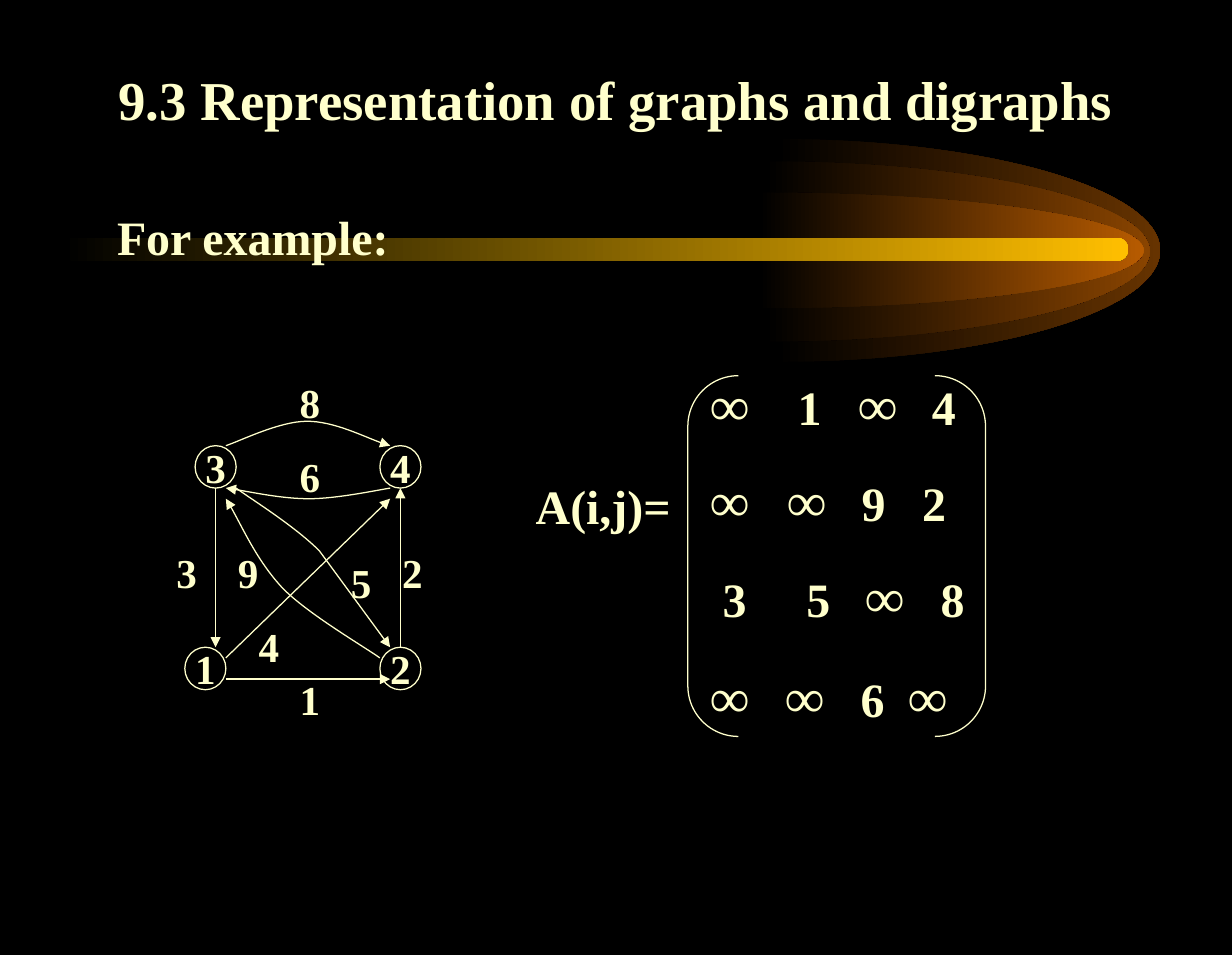
import itertools
import lxml.etree
import pptx
import pptx.dml.color
import pptx.enum.shapes
import pptx.enum.text
import pptx.oxml.ns
import pptx.util

Rgb = pptx.dml.color.RGBColor
Shape = pptx.enum.shapes.MSO_SHAPE
Line = pptx.enum.shapes.MSO_CONNECTOR
Align = pptx.enum.text.PP_ALIGN
Anchor = pptx.enum.text.MSO_ANCHOR
qn = pptx.oxml.ns.qn

BLACK = Rgb(0x00, 0x00, 0x00)
CREAM = Rgb(0xFF, 0xFF, 0xCC)
GOLD = Rgb(0xFF, 0xBF, 0x00)
BROWN = Rgb(0x66, 0x33, 0x00)
RUST = Rgb(0x89, 0x44, 0x00)
AMBER = Rgb(0xB7, 0x5B, 0x00)
FONT = {"name": "Times New Roman", "bold": True}

deck = pptx.Presentation()
deck.slide_width = pptx.util.Inches(10)
deck.slide_height = pptx.util.Inches(7.75)
slide = deck.slides.add_slide(deck.slide_layouts[1])
shapes = slide.shapes
slide.background.fill.solid()
slide.background.fill.fore_color.rgb = BLACK

# Grid of 120 columns by 90 rows
GRID = deck.slide_width / 120, deck.slide_height / 90


def at(*cells):
    """Turn column, row, column, row ... into lengths."""
    return [pptx.util.Emu(round(c * GRID[i % 2])) for i, c in enumerate(cells)]


def write(para, text, size):
    """Add a run in the slide's font."""
    run = para.add_run()
    run.text = text
    for key, value in {**FONT, "size": pptx.util.Pt(size)}.items():
        setattr(run.font, key, value)
    run.font.color.rgb = CREAM


# Outlines: three half ellipses of the comet, then the four curved edges
outlines = []
BEND = 0.55
for x, y, wide, high in [(75.5, 23.6, 37.5, 10.5),
                         (74.5, 23.7, 37.5, 8.5),
                         (73.9, 23.6, 37.5, 5.46)]:
    outlines.append([(x, y - high), (x + BEND * wide, y - high),
                     (x + wide, y - BEND * high), (x + wide, y),
                     (x + wide, y + BEND * high), (x + BEND * wide, y + high),
                     (x, y + high)])
outlines += [
    [(22, 42), (23.3, 41.6), (27.2, 39.7), (29.9, 39.7), (32.5, 39.7), (36.4, 41.6), (38, 42)],
    [(38, 46), (36.7, 46.2), (32.8, 47), (30.1, 47), (27.5, 47), (23.6, 46.2), (22, 46)],
    [(23, 46), (24.4, 47), (28.6, 49.5), (31.1, 51.9), (38, 61)],
    [(37, 62), (35.4, 60.9), (29.9, 57.8), (27.5, 55.4), (25, 52.8), (23.2, 48.8), (22, 47)]]

# Each three points become one cubic curve; a point left over stays a line
curves = []
for n, knots in enumerate(outlines):
    pen = shapes.build_freeform(*at(*knots[0]))
    pen.add_line_segments([at(*knot) for knot in knots[1:]], close=n < 3)
    curve = pen.convert_to_shape()
    curve.shadow.inherit = False
    legs = list(curve.element.iter(qn("a:lnTo")))
    for k in range(0, len(legs) - 2, 3):
        bend = lxml.etree.Element(qn("a:cubicBezTo"))
        legs[k].addprevious(bend)
        for leg in legs[k:k + 3]:
            bend.append(leg[0])
            leg.getparent().remove(leg)
    curves.append(curve)

# Comet colours: each part fades in from black
bar = shapes.add_shape(Shape.ROUNDED_RECTANGLE, *at(6, 22.4, 103.9, 2.2))
bar.adjustments[0] = 0.5
bar.shadow.inherit = False
for part, tone in zip(curves[:3] + [bar], (BROWN, RUST, AMBER, GOLD)):
    part.line.fill.background()
    part.fill.gradient()
    part.fill.gradient_angle = 0
    for stop, hue in zip(part.fill.gradient_stops, (BLACK, tone)):
        stop.color.rgb = hue

# Title and body, raised above the comet
for hold, box, text, size, side, edge in [
        (shapes.title, (9, 5, 102, 8),
         "9.3 Representation of graphs and digraphs", 32, Align.CENTER, Anchor.BOTTOM),
        (slide.placeholders[1], (10.2, 19, 100.8, 54),
         "For example:", 28, Align.LEFT, Anchor.TOP)]:
    hold.left, hold.top, hold.width, hold.height = at(*box)
    hold.element.getparent().append(hold.element)
    frame = hold.text_frame
    frame.auto_size = pptx.enum.text.MSO_AUTO_SIZE.NONE
    frame.vertical_anchor = edge
    para = frame.paragraphs[0]
    para.alignment = side
    para.space_before = pptx.util.Pt(0)
    props = para._p.get_or_add_pPr()
    props.set("marL", "0")
    props.set("indent", "0")
    lxml.etree.SubElement(props, qn("a:buNone"))
    write(para, text, size)

# Graph nodes
for text, x, y in [("3", 19, 42), ("4", 37, 42), ("1", 18, 61), ("2", 37, 61)]:
    node = shapes.add_shape(Shape.OVAL, *at(x, y, 4, 4))
    node.shadow.inherit = False
    node.fill.background()
    node.line.color.rgb = CREAM
    node.line.width = pptx.util.Pt(0.75)
    node.text_frame.word_wrap = False
    node.text_frame.vertical_anchor = Anchor.MIDDLE
    para = node.text_frame.paragraphs[0]
    para.alignment = Align.CENTER
    write(para, text, 24)

# Edges, straight and curved, with arrowheads
edges = curves[3:]
for edge in edges:
    edge.fill.background()
for ends in [(21, 46, 21, 61), (39, 61, 39, 46), (22, 64, 38, 64), (22, 62, 38, 47)]:
    edge = shapes.add_connector(Line.STRAIGHT, *at(*ends))
    lxml.etree.SubElement(edge.element.spPr, qn("a:effectLst"))
    edges.append(edge)
for edge in edges:
    edge.line.color.rgb = CREAM
    edge.line.width = pptx.util.Pt(0.75)
    tip = lxml.etree.SubElement(edge.element.spPr.find(qn("a:ln")), qn("a:tailEnd"))
    tip.set("type", "triangle")

# Edge weights and the matrix name
for text, x, y, wide, high, size in [
        ("8", 28, 35, 12, 5.8, 24), ("6", 28, 42, 5, 5.8, 24),
        ("2", 38, 51, 6, 5.8, 24), ("3", 16, 51, 9, 5.8, 24),
        ("1", 28, 63, 8, 5.8, 24), ("4", 24, 58, 4, 5.8, 24),
        ("9", 22, 51, 7, 5.8, 24), ("5", 33, 52, 5, 5.8, 24),
        ("A(i,j)=", 51, 44.3, 20, 6.6, 28)]:
    label = shapes.add_textbox(*at(x, y, wide, high))
    label.text_frame.word_wrap = True
    write(label.text_frame.paragraphs[0], text, size)

# Matrix bracket
pair = shapes.add_shape(Shape.DOUBLE_BRACKET, *at(67, 35.4, 29, 34))
pair.adjustments[0] = 0.17
pair.shadow.inherit = False
pair.fill.background()
pair.line.color.rgb = CREAM
pair.line.width = pptx.util.Pt(0.75)

# Matrix rows: space before, entries, tab stops in inches
grid = shapes.add_textbox(*at(68, 34.4, 30, 34.8))
frame = grid.text_frame
frame.word_wrap = True
for n, (gap, row, stops) in enumerate([
        (0, "∞\t1\t∞\t4", (0.71, 1.2, 1.8)),
        (17.5, "∞\t∞\t9\t2", (0.63, 1.23, 1.72)),
        (17.5, "\t3\t5\t∞\t8", (0.1, 0.78, 1.26, 1.87)),
        (20, "∞\t∞\t6\t∞", (0.61, 1.22, 1.61))]):
    para = frame.add_paragraph() if n else frame.paragraphs[0]
    para.space_before = pptx.util.Pt(gap)
    tabs = lxml.etree.SubElement(para._p.get_or_add_pPr(), qn("a:tabLst"))
    for stop in stops:
        tab = lxml.etree.SubElement(tabs, qn("a:tab"))
        tab.set("pos", str(pptx.util.Inches(stop)))
        tab.set("algn", "l")
    for big, chars in itertools.groupby(row, lambda c: c == "∞"):
        write(para, "".join(chars), 32 if big else 28)

deck.save("out.pptx")
